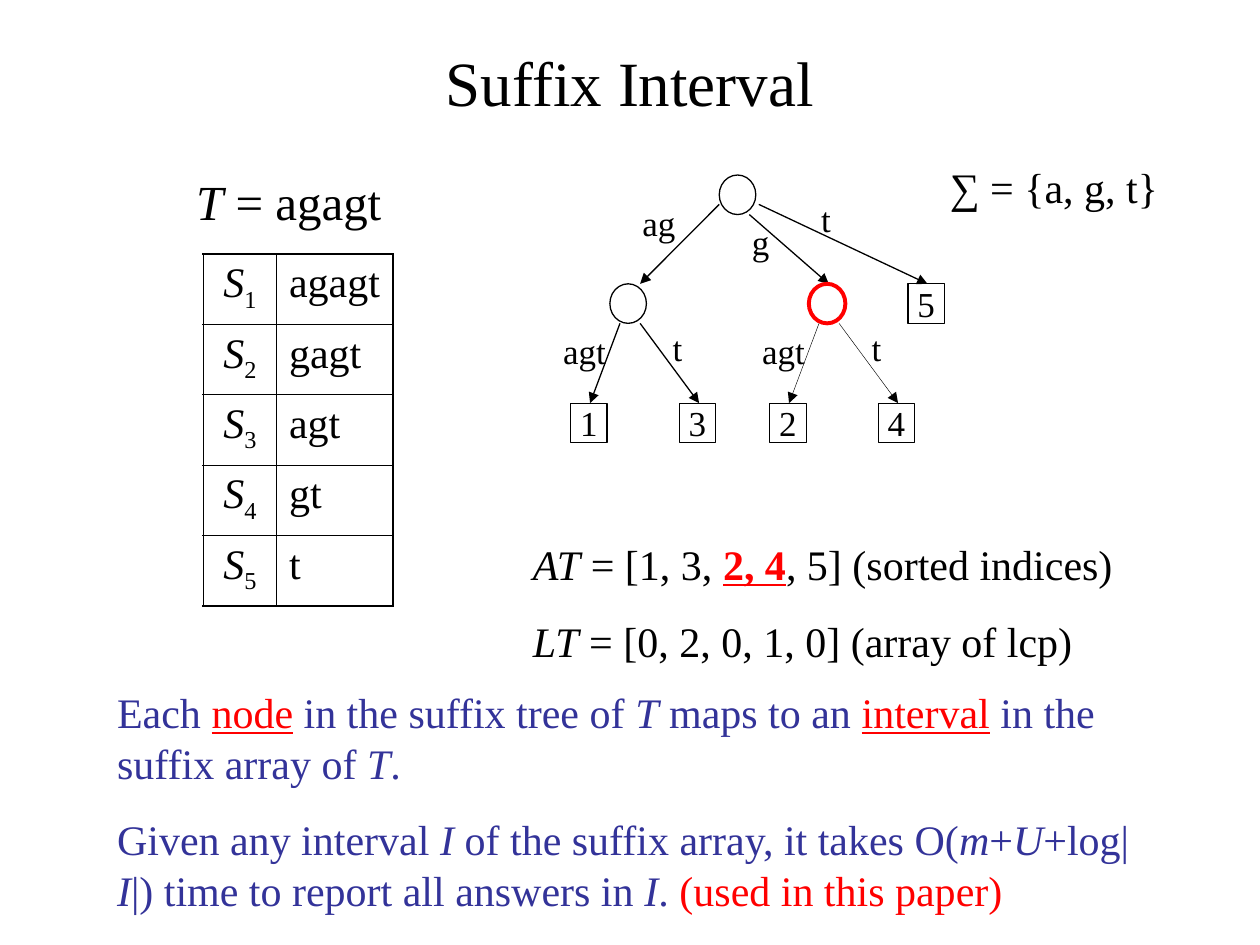
from dataclasses import dataclass

from lxml.etree import SubElement
from pptx import Presentation
from pptx.dml.color import RGBColor as Color
from pptx.enum.shapes import MSO_CONNECTOR as Connector, MSO_SHAPE as Shape
from pptx.enum.text import MSO_ANCHOR as Anchor, MSO_AUTO_SIZE as AutoSize, PP_ALIGN as Align
from pptx.oxml.ns import qn
from pptx.util import Pt


@dataclass(frozen=True)
class Theme:
    font: str = "Times New Roman"
    black: Color = Color(0, 0, 0)
    red: Color = Color(255, 0, 0)
    blue: Color = Color(0x33, 0x33, 0x99)
    title: int = 36
    heading: int = 28
    body: int = 24
    tree: int = 20
    hairline: float = 0.25
    line: float = 0.75
    highlight: float = 2.25
    table_inner: float = 0.45
    table_outer: float = 1.08


class SlideBuilder:
    node_width, node_height = 20.9, 22.6

    def __init__(self, slide, theme):
        self.slide = slide
        self.theme = theme

    def fill_paragraph(self, paragraph, runs, size, color, align=Align.LEFT):
        paragraph.alignment = align
        font = paragraph.font
        font.name, font.size, font.color.rgb = self.theme.font, Pt(size), color
        for text, marks in runs:
            run = paragraph.add_run()
            run.text = text
            if "i" in marks:
                run.font.italic = True
            if "b" in marks:
                run.font.bold = True
            if "u" in marks:
                run.font.underline = True
            if "r" in marks:
                run.font.color.rgb = self.theme.red
            if "s" in marks:
                run.font._element.set("baseline", "-25000")

    def text(self, box, paragraphs, size, color=None, align=Align.LEFT, wrap=True, anchor=Anchor.TOP):
        frame = self.slide.shapes.add_textbox(*map(Pt, box)).text_frame
        frame.word_wrap = wrap
        frame.vertical_anchor = anchor
        frame.auto_size = AutoSize.SHAPE_TO_FIT_TEXT if anchor == Anchor.TOP else AutoSize.NONE
        for index, runs in enumerate(paragraphs):
            paragraph = frame.add_paragraph() if index else frame.paragraphs[0]
            self.fill_paragraph(paragraph, runs, size, color or self.theme.black, align)
            if index:
                paragraph.space_before = Pt(15)

    def label(self, left, top, width, text):
        self.text((left, top, width, 31.5), [[(text, "")]], self.theme.tree, wrap=False)

    def node(self, left, top, kind=Shape.OVAL, color=None, weight=None):
        shape = self.slide.shapes.add_shape(
            kind, Pt(left), Pt(top), Pt(self.node_width), Pt(self.node_height))
        shape.shadow.inherit = False
        shape.fill.background()
        shape.line.color.rgb = color or self.theme.black
        shape.line.width = Pt(weight or self.theme.line)
        return shape

    def leaf(self, left, top, text, weight=None):
        frame = self.node(left, top, Shape.RECTANGLE, weight=weight).text_frame
        frame.word_wrap = False
        frame.vertical_anchor = Anchor.MIDDLE
        self.fill_paragraph(frame.paragraphs[0], [(text, "")],
                            self.theme.tree, self.theme.black, Align.CENTER)

    def arrow(self, start, end, weight=None):
        connector = self.slide.shapes.add_connector(
            Connector.STRAIGHT, *map(Pt, (*start, *end)))
        connector.line.color.rgb = self.theme.black
        connector.line.width = Pt(weight or self.theme.line)
        properties = connector._element.spPr
        SubElement(properties.find(qn("a:ln")), qn("a:tailEnd"), type="triangle")
        SubElement(properties, qn("a:effectLst"))

    def subtree(self, left, top, leaves, weight=None, node_color=None, node_weight=None):
        bottom = top + self.node_height
        leaf_top = top + 68.2
        self.node(left, top, color=node_color, weight=node_weight)
        self.arrow((left + 5.8, bottom), (left - 11.3, leaf_top), weight)
        self.arrow((left + 17.3, bottom), (left + 51, leaf_top), weight)
        self.label(left - 33.8, bottom, 39, "agt")
        self.label(left + 28.8, bottom - 1.8, 19.5, "t")
        for offset, number in zip((-22.5, 39.6), leaves):
            self.leaf(left + offset, leaf_top, number, weight)

    def border(self, cell, sides):
        properties = cell._tc.get_or_add_tcPr()
        for side, outer in sides.items():
            width = self.theme.table_outer if outer else self.theme.table_inner
            line = SubElement(properties, qn(f"a:ln{side}"), w=str(int(Pt(width))))
            fill = SubElement(line, qn("a:solidFill"))
            SubElement(fill, qn("a:srgbClr"), val=str(self.theme.black))

    def table(self, left, top, widths, row_height, rows):
        table = self.slide.shapes.add_table(
            len(rows), len(widths), Pt(left), Pt(top),
            Pt(sum(widths)), Pt(row_height * len(rows))).table
        table.first_row = table.horz_banding = False
        for column, width in zip(table.columns, widths):
            column.width = Pt(width)
        for row_index, row in enumerate(rows):
            table.rows[row_index].height = Pt(row_height)
            for column_index, runs in enumerate(row):
                cell = table.cell(row_index, column_index)
                self.border(cell, {
                    "L": column_index == 0, "R": column_index == len(widths) - 1,
                    "T": row_index == 0, "B": row_index == len(rows) - 1})
                cell.fill.background()
                align = Align.LEFT if column_index else Align.CENTER
                self.fill_paragraph(cell.text_frame.paragraphs[0], runs,
                                    self.theme.body, self.theme.black, align)


def main():
    presentation = Presentation()
    presentation.slide_width, presentation.slide_height = Pt(720), Pt(540)
    theme = Theme()
    builder = SlideBuilder(presentation.slides.add_slide(presentation.slide_layouts[6]), theme)

    builder.text((36, 21.6, 648, 49.7), [[("Suffix Interval", "")]], theme.title,
                 align=Align.CENTER, anchor=Anchor.MIDDLE)

    word = "agagt"
    suffixes = [([("S", "i"), (str(start + 1), "s")], [(word[start:], "")])
                for start in range(len(word))]
    builder.table(116.2, 145.2, (41.8, 66.7), 40.2, suffixes)
    builder.text((105, 94.3, 124.6, 41), [[("T", "i"), (f" = {word}", "")]], theme.heading)

    builder.text((59.8, 388.8, 612.7, 137.5), [
        [("Each ", ""), ("node", "ru"), (" in the suffix tree of ", ""), ("T", "i"),
         (" maps to an ", ""), ("interval", "ru"), (" in the suffix array of ", ""),
         ("T", "i"), (".", "")],
        [("Given any interval ", ""), ("I ", "i"), ("of the suffix array, it takes O(", ""),
         ("m", "i"), ("+", ""), ("U", "i"), ("+log|", ""), ("I", "i"),
         ("|) time to report all answers in ", ""), ("I", "i"), (". ", ""),
         ("(used in this paper)", "r")],
    ], theme.body, theme.blue)

    level = 162.2
    builder.node(411, 100)
    builder.arrow((411, 116.8), (365.8, level))
    builder.arrow((428.2, 122.6), (473.6, level))
    builder.arrow((433.6, 116.8), (530, level))
    builder.label(360, 111.6, 36, "ag")
    builder.label(422.6, 122.4, 25, "g")
    builder.label(462.2, 109.4, 19.5, "t")
    builder.subtree(348.5, level, "13")
    builder.subtree(462.2, level, "24", theme.hairline, theme.red, theme.highlight)
    builder.leaf(518.8, level, "5")

    builder.text((535.7, 88.6, 158.4, 36), [[("∑ ", "i"), ("= {a, g, t}", "")]], theme.body)
    builder.text((297.4, 304.2, 351.4, 80), [
        [("AT", "i"), (" = [1, 3, ", ""), ("2, 4", "rbu"), (", 5] (sorted indices)", "")],
        [("LT", "i"), (" = [0, 2, 0, 1, 0] (array of lcp)", "")],
    ], theme.body)

    presentation.save("out.pptx")


if __name__ == "__main__":
    main()
